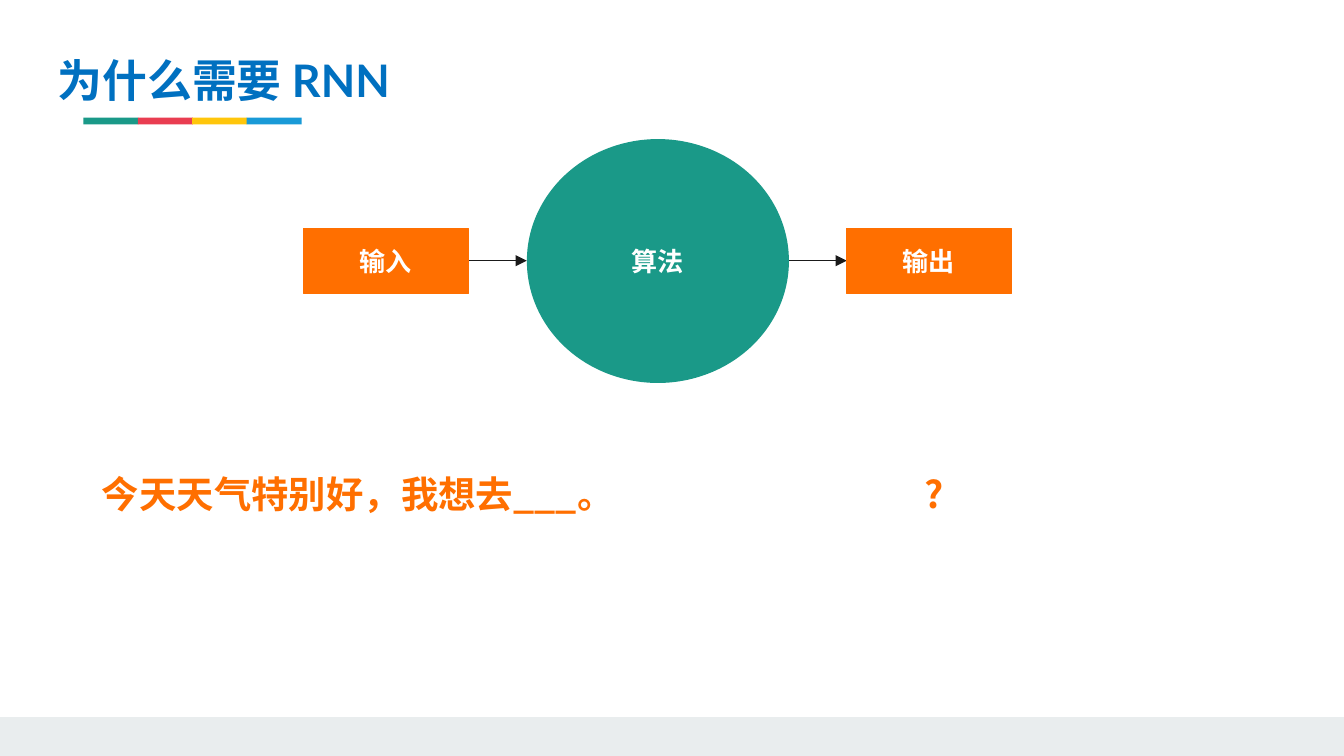
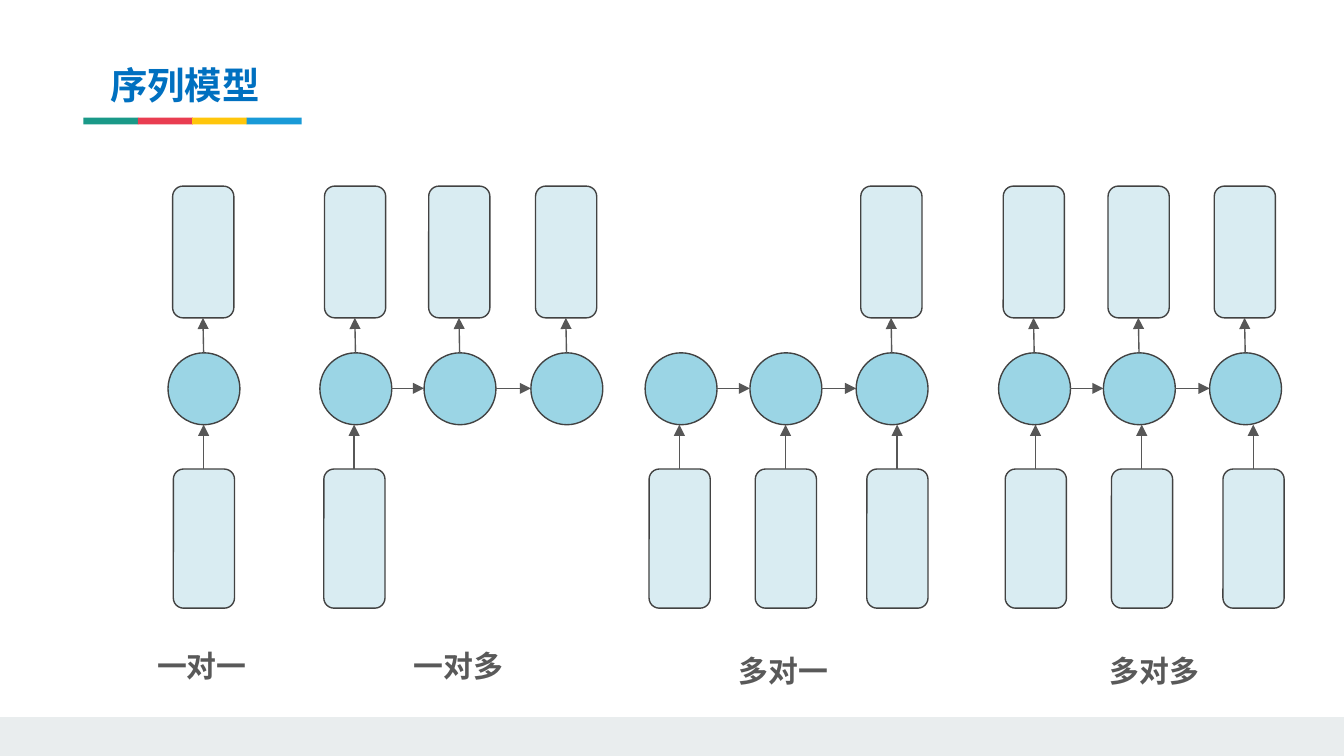
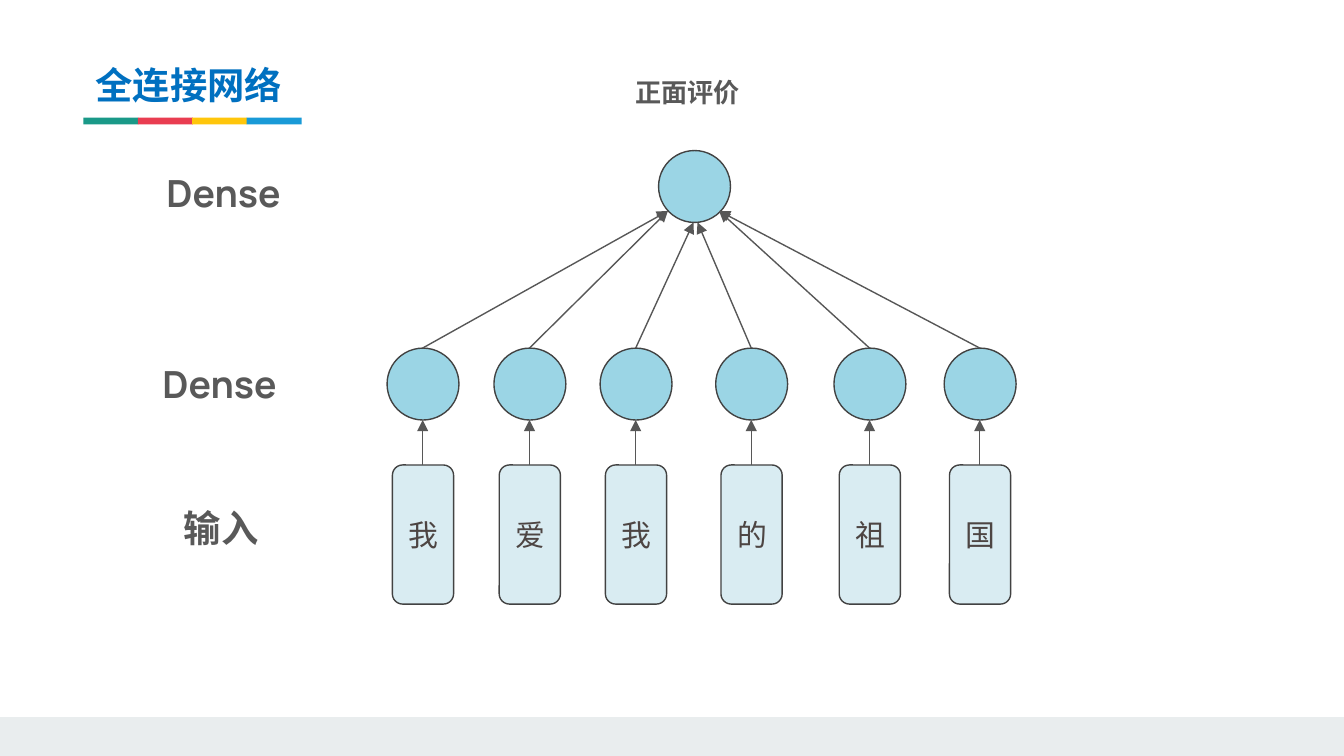
from dataclasses import dataclass

import lxml.etree
import pptx
import pptx.dml.color
import pptx.enum.shapes
import pptx.enum.text
import pptx.oxml.ns
import pptx.util

SHAPE = pptx.enum.shapes.MSO_SHAPE
ALIGN = pptx.enum.text.PP_ALIGN
ANCHOR = pptx.enum.text.MSO_ANCHOR
FIT = pptx.enum.text.MSO_AUTO_SIZE
qn = pptx.oxml.ns.qn


@dataclass(frozen=True)
class Theme:
    blue: str = "0070C0"
    orange: str = "FF6F00"
    teal: str = "1A9988"
    white: str = "FFFFFF"
    black: str = "1A1A1A"
    grey: str = "595959"
    arrow: str = "575757"
    outline: str = "424242"
    cell: str = "9BD5E5"
    vector: str = "D9ECF2"
    word: str = "4D4543"
    footer: str = "E9EDEE"
    bars: tuple = ("1A9988", "E93D51", "FFC60B", "199AD7")
    cjk: str = "Noto Sans CJK SC"
    label_font: str = "Manrope"
    word_font: str = "Arial"
    small: int = 14
    medium: int = 16
    large: int = 20
    huge: int = 24
    line: float = 0.75


THEME = Theme()
CELL = 107           # diameter of a network cell
VECTOR_WIDTH = 91    # width of an input or output vector
INPUT_HEIGHT = 207


def px(length):
    """200 px to the inch."""
    return pptx.util.Emu(length * 4572)


def rgb(color):
    return pptx.dml.color.RGBColor.from_string(color)


class Painter:
    def __init__(self, theme):
        self.theme = theme
        self.deck = pptx.Presentation()
        self.deck.slide_width, self.deck.slide_height = px(2000), px(1125)
        self.layout = self.deck.slide_layouts[5]
        self.page = None

    def start_page(self, title, left, top, width, height, size, font):
        first = self.page is None
        self.page = self.deck.slides.add_slide(self.layout)
        if first:
            self.share_bands()
        box = self.page.shapes.title
        box.left, box.top, box.width, box.height = map(px, (left, top, width, height))
        frame = box.text_frame
        frame.text = title
        frame.auto_size = FIT.NONE
        frame.vertical_anchor = ANCHOR.TOP
        frame.margin_left = frame.margin_right = px(20)
        frame.margin_top = frame.margin_bottom = px(20)
        self.style(frame, size, self.theme.blue, font, ALIGN.LEFT)

    def share_bands(self):
        """Put the footer band and the title bars on the layout."""
        bands = [self.shape(SHAPE.RECTANGLE, 0, 1067, 2000, 58, self.theme.footer)]
        for index, color in enumerate(self.theme.bars):
            bands.append(self.shape(SHAPE.RECTANGLE, 124 + 81 * index, 175, 82, 10, color))
        for band in bands:
            self.layout.shapes.element.append(band.element)

    def style(self, frame, size, color, font, align, bold=True):
        para = frame.paragraphs[0]
        para.alignment = align
        for span in para.runs:
            span.font.size = pptx.util.Pt(size)
            span.font.bold = bold
            span.font.color.rgb = rgb(color)
            span.font.name = font
            east_asian = lxml.etree.SubElement(span.font._element, qn("a:ea"))
            east_asian.set("typeface", self.theme.cjk)

    def shape(self, kind, left, top, width, height, fill, line=None):
        shape = self.page.shapes.add_shape(kind, *map(px, (left, top, width, height)))
        shape.shadow.inherit = False
        shape.fill.solid()
        shape.fill.fore_color.rgb = rgb(fill)
        if line:
            shape.line.color.rgb = rgb(line)
            shape.line.width = pptx.util.Pt(self.theme.line)
        else:
            shape.line.fill.background()
        return shape

    def caption(self, shape, text, size, color, font, bold=True):
        frame = shape.text_frame
        frame.text = text
        frame.vertical_anchor = ANCHOR.MIDDLE
        self.style(frame, size, color, font, ALIGN.CENTER, bold)

    def cell(self, center, top):
        return self.shape(SHAPE.OVAL, center - CELL // 2, top, CELL, CELL,
                          self.theme.cell, self.theme.outline)

    def vector(self, center, top, height):
        return self.shape(SHAPE.ROUNDED_RECTANGLE, center - VECTOR_WIDTH // 2, top,
                          VECTOR_WIDTH, height, self.theme.vector, self.theme.outline)

    def arrow(self, start, end, color=None):
        line = self.page.shapes.add_connector(
            pptx.enum.shapes.MSO_CONNECTOR.STRAIGHT, *map(px, (*start, *end)))
        line.line.color.rgb = rgb(color or self.theme.arrow)
        line.line.width = pptx.util.Pt(self.theme.line)
        properties = line.element.spPr
        head = lxml.etree.SubElement(properties.find(qn("a:ln")), qn("a:tailEnd"))
        head.set("type", "triangle")
        lxml.etree.SubElement(properties, qn("a:effectLst"))

    def text(self, text, left, top, width, height, size, color=None, font=None,
             align=ALIGN.LEFT, indent=0):
        box = self.page.shapes.add_textbox(*map(px, (left, top, width, height)))
        frame = box.text_frame
        frame.word_wrap = True
        frame.auto_size = FIT.SHAPE_TO_FIT_TEXT
        frame.text = text
        if indent:
            frame.paragraphs[0]._p.get_or_add_pPr().set("indent", str(px(indent)))
        self.style(frame, size, color or self.theme.grey,
                   font or self.theme.label_font, align)


def draw_why_rnn(painter):
    theme = painter.theme
    painter.start_page("为什么需要 RNN", 66, 58, 562, 102, theme.huge, "Lato")

    # Input, algorithm, output
    for left in (698, 1174):
        painter.arrow((left, 388), (left + 86, 388), theme.black)
    for name, left in (("输入", 452), ("输出", 1260)):
        box = painter.shape(SHAPE.RECTANGLE, left, 340, 245, 97, theme.orange, theme.orange)
        painter.caption(box, name, theme.small, theme.white, theme.cjk)
    algorithm = painter.shape(SHAPE.OVAL, 784, 207, 390, 363, theme.teal)
    painter.caption(algorithm, "算法", theme.small, theme.white, theme.cjk)

    # Sentence to complete
    for text, left, width in (("今天天气特别好，我想去___。", 74, 1000), ("?", 1298, 518)):
        painter.text(text, left, 692, width, 88, theme.large, theme.orange,
                     theme.cjk, ALIGN.JUSTIFY, indent=58)


def draw_sequence_models(painter):
    theme = painter.theme
    painter.start_page("序列模型", 144, 72, 280, 118, theme.large, theme.cjk)
    output_top, output_height, cell_top, input_top = 277, 196, 525, 698
    cell_middle = cell_top + CELL // 2

    # Label, its place, then per step: cell centre, has output, input centre
    models = (
        ("一对一", 214, 954, [(303, True, 303)]),
        ("一对多", 596, 954, [(529, True, 527), (684, True, None), (843, True, None)]),
        ("多对一", 1080, 962, [(1013, False, 1011), (1169, False, 1169), (1327, True, 1335)]),
        ("多对多", 1632, 962, [(1539, True, 1541), (1695, True, 1699), (1853, True, 1865)]),
    )
    for label, left, top, steps in models:
        previous = None
        for center, has_output, input_center in steps:
            painter.cell(center, cell_top)
            if has_output:
                painter.vector(center - 1, output_top, output_height)
                painter.arrow((center, cell_top), (center - 1, output_top + output_height))
            if input_center:
                painter.vector(input_center, input_top, INPUT_HEIGHT)
                painter.arrow((input_center, input_top), (input_center, cell_top + CELL))
            if previous:
                painter.arrow((previous + CELL // 2, cell_middle),
                              (center - CELL // 2, cell_middle))
            previous = center
        painter.text(label, left, top, 176, 74, theme.medium)


def draw_dense_network(painter):
    theme = painter.theme
    painter.start_page("全连接网络", 122, 72, 362, 118, theme.large, theme.cjk)
    hidden_top, input_top = 518, 692

    # Output cell and one column per word, with its arrow end at the output
    painter.cell(1033, 224)
    columns = (
        ("我", 629, (994, 314)), ("爱", 788, (994, 314)), ("我", 946, (1032, 331)),
        ("的", 1118, (1038, 331)), ("祖", 1294, (1070, 314)), ("国", 1458, (1070, 314)),
    )
    for word, center, target in columns:
        painter.cell(center, hidden_top)
        vector = painter.vector(center, input_top, INPUT_HEIGHT)
        painter.caption(vector, word, theme.medium, theme.word, theme.word_font, bold=False)
        painter.arrow((center, input_top), (center, hidden_top + CELL))
        painter.arrow((center, hidden_top), target)

    # Layer names and result
    painter.text("输入", 254, 742, 164, 88, theme.large)
    painter.text("Dense", 222, 528, 216, 88, theme.large)
    painter.text("Dense", 228, 244, 216, 88, theme.large)
    painter.text("正面评价", 926, 104, 212, 68, theme.small)


def main():
    painter = Painter(THEME)
    draw_why_rnn(painter)
    draw_sequence_models(painter)
    draw_dense_network(painter)
    painter.deck.save("out.pptx")


if __name__ == "__main__":
    main()
